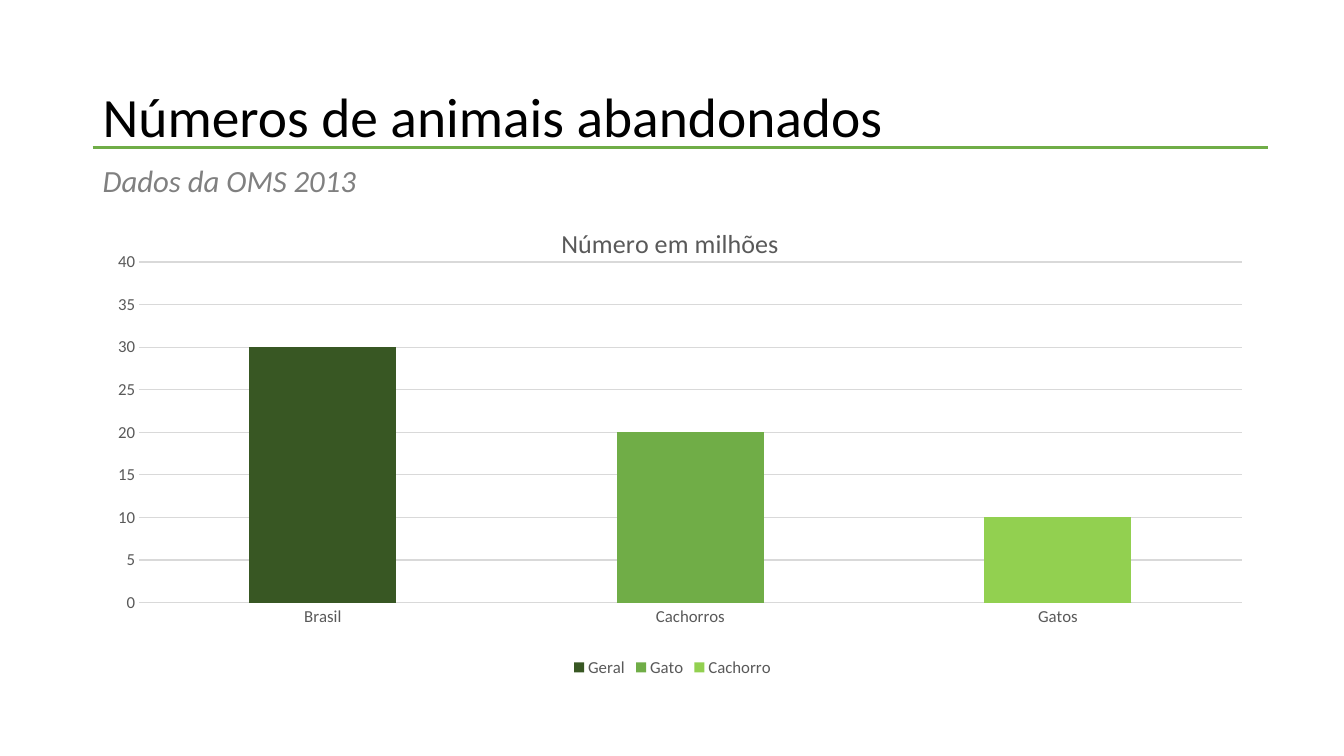
import pptx
import pptx.chart.data
import pptx.dml.color
import pptx.enum.chart
import pptx.enum.shapes
import pptx.enum.text
import pptx.oxml.ns
import pptx.util
from lxml import etree

Inches = pptx.util.Inches
Pt = pptx.util.Pt
qn = pptx.oxml.ns.qn
FONT = "Calibri"
COLORS = {
    "title": "000000",
    "subtitle": "808080",
    "rule": "70AD47",
    "label": "595959",
    "grid": "D9D9D9",
    "Geral": "385723",
    "Gato": "70AD47",
    "Cachorro": "92D050",
}
LEFT = Inches(0.92)


def rgb(name):
    return pptx.dml.color.RGBColor.from_string(COLORS[name])


def style_font(font, size, color):
    font.name = FONT
    font.size = Pt(size)
    font.color.rgb = rgb(color)
    font.bold = False


presentation = pptx.Presentation()
presentation.slide_width = Inches(13.33)
presentation.slide_height = Inches(7.5)
slide = presentation.slides.add_slide(presentation.slide_layouts[6])

headings = [
    ("Números de animais abandonados", 0.9, 11.5, 0.57, 39.6, "title", False,
     pptx.enum.text.MSO_ANCHOR.MIDDLE),
    ("Dados da OMS 2013", 1.6, 11.66, 0.43, 22, "subtitle", True,
     pptx.enum.text.MSO_ANCHOR.TOP),
]
for text, top, width, height, size, color, italic, anchor in headings:
    heading = slide.shapes.add_textbox(LEFT, Inches(top), Inches(width), Inches(height)).text_frame
    heading.word_wrap = True
    heading.vertical_anchor = anchor
    heading.text = text
    paragraph = heading.paragraphs[0]
    paragraph.line_spacing = 0.9
    style_font(paragraph.font, size, color)
    paragraph.font.italic = italic

abandoned = pptx.chart.data.CategoryChartData()
abandoned.categories = ["Brasil", "Cachorros", "Gatos"]
abandoned.add_series("Geral", (30, 0, 0))
abandoned.add_series("Gato", (0, 20, 0))
abandoned.add_series("Cachorro", (0, 0, 10))
chart = slide.shapes.add_chart(
    pptx.enum.chart.XL_CHART_TYPE.COLUMN_STACKED,
    LEFT, Inches(2), Inches(11.5), Inches(4.76), abandoned,
).chart
style_font(chart.font, 10, "title")

chart.has_title = True
chart_title = chart.chart_title
chart_title.text_frame.text = "Número em milhões"
style_font(chart_title.text_frame.paragraphs[0].font, 18.6, "label")

chart.has_legend = True
chart.legend.position = pptx.enum.chart.XL_LEGEND_POSITION.BOTTOM
chart.legend.include_in_layout = False
style_font(chart.legend.font, 12, "label")

columns = chart.plots[0]
columns.gap_width = 150
columns.overlap = 100
columns.vary_by_categories = False
for series in columns.series:
    series.format.fill.solid()
    series.format.fill.fore_color.rgb = rgb(series.name)

places = chart.category_axis
millions = chart.value_axis
for axis in (places, millions):
    axis.major_tick_mark = pptx.enum.chart.XL_TICK_MARK.NONE
    axis.minor_tick_mark = pptx.enum.chart.XL_TICK_MARK.NONE
    style_font(axis.tick_labels.font, 12, "label")
millions.minimum_scale = 0
millions.maximum_scale = 40
millions.major_unit = 5
millions.has_major_gridlines = True
millions.format.line.fill.background()
for line in (places.format.line, millions.major_gridlines.format.line):
    line.color.rgb = rgb("grid")
    line.width = Pt(0.75)

title_element = chart_title.text_frame._txBody.getparent().getparent()
plot_area = places._element.getparent()
layouts = [
    (title_element, 1, {"xMode": "edge", "yMode": "edge", "x": "0.4", "y": "0.04"}),
    (plot_area, 0, {"layoutTarget": "inner", "xMode": "edge", "yMode": "edge",
                    "x": "0.04", "y": "0.126", "w": "0.951", "h": "0.71"}),
]
for parent, position, settings in layouts:
    for default_layout in parent.findall(qn("c:layout")):
        parent.remove(default_layout)
    layout = etree.Element(qn("c:layout"))
    parent.insert(position, layout)
    manual = etree.SubElement(layout, qn("c:manualLayout"))
    for tag, value in settings.items():
        etree.SubElement(manual, qn("c:" + tag)).set("val", value)

rule = slide.shapes.add_connector(
    pptx.enum.shapes.MSO_CONNECTOR.STRAIGHT, LEFT, Inches(1.46), Inches(12.58), Inches(1.46))
rule.line.color.rgb = rgb("rule")
rule.line.width = Pt(2)
etree.SubElement(rule._element.spPr, qn("a:effectLst"))

presentation.save("out.pptx")
